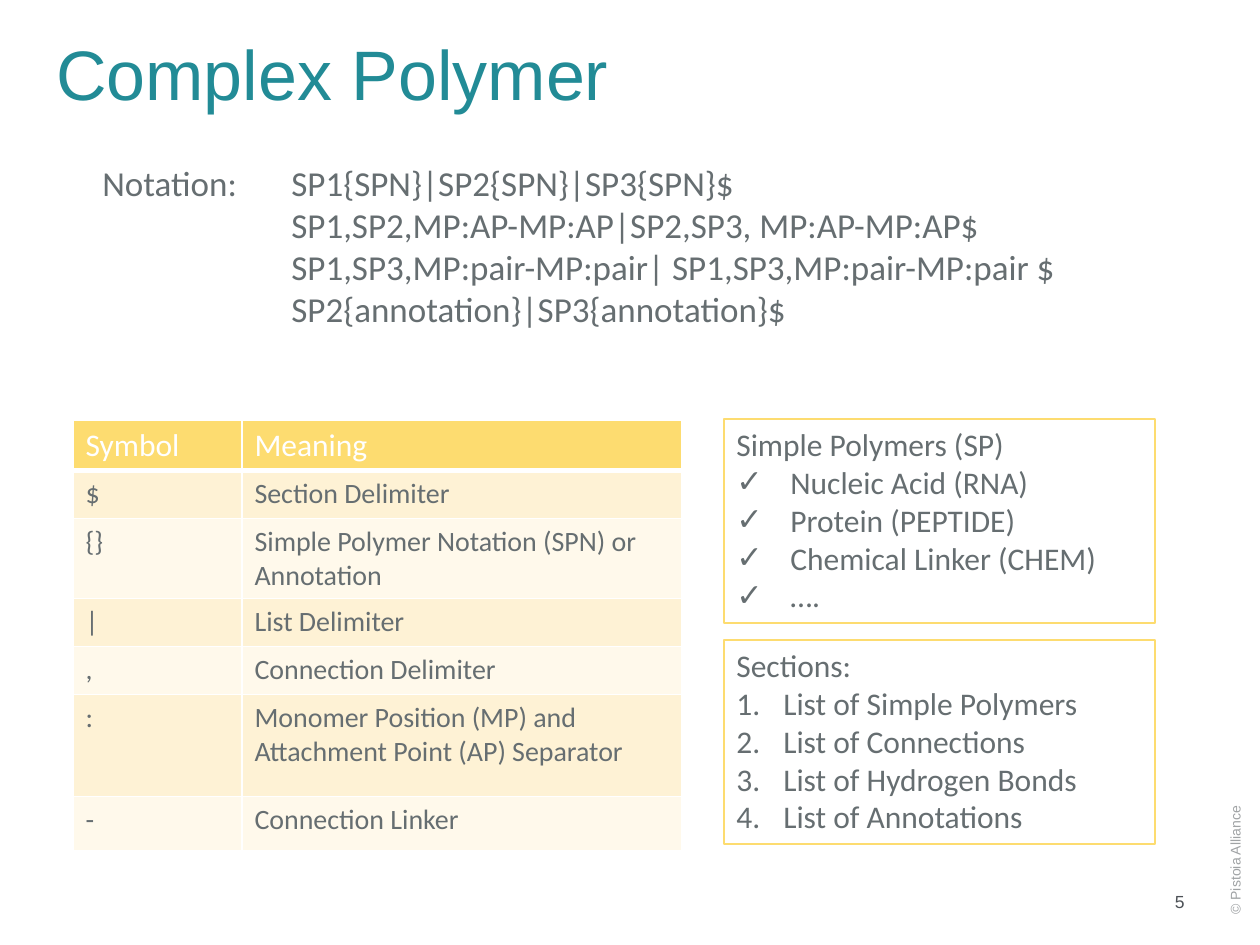
from lxml.etree import SubElement as Sub
from pptx import Presentation
from pptx.dml.color import RGBColor as Rgb
from pptx.enum.shapes import MSO_SHAPE as Form
from pptx.enum.text import MSO_ANCHOR as Anchor, PP_ALIGN as Align
from pptx.oxml.ns import qn
from pptx.util import Pt


class Theme:
    """Colours, fonts and type sizes of the slide."""
    teal, gray, dark, pale = "228B96", "666E71", "4C5156", "A0A3A5"
    gold, cream, ivory, white = "FDDC70", "FEF2D5", "FFF9EB", "FFFFFF"
    head, body = "Arial", "Calibri"
    title, note, list, cell, page, mark = 40, 20, 18, 16, 10, 8


SYMBOLS = [
    ("Symbol", "Meaning", 49),
    ("$", "Section Delimiter", 48),
    ("{}", "Simple Polymer Notation (SPN) or Annotation", 80),
    ("|", "List Delimiter", 48),
    (",", "Connection Delimiter", 48),
    (":", "Monomer Position (MP) and Attachment Point (AP) Separator", 102),
    ("-", "Connection Linker", 54),
]
NOTATION = [
    "Notation:\tSP1{SPN}|SP2{SPN}|SP3{SPN}$",
    "SP1,SP2,MP:AP-MP:AP|SP2,SP3, MP:AP-MP:AP$",
    "SP1,SP3,MP:pair-MP:pair| SP1,SP3,MP:pair-MP:pair $",
    "SP2{annotation}|SP3{annotation}$",
]
POLYMERS = ["Nucleic Acid (RNA)", "Protein (PEPTIDE)",
            "Chemical Linker (CHEM)", "…."]
SECTIONS = ["List of Simple Polymers", "List of Connections",
            "List of Hydrogen Bonds", "List of Annotations"]


def px(num):
    """Turn pixels into EMU."""
    return round(num * 914400 / 126)


def style(para, size, color, font=Theme.body):
    """Set the type of a paragraph."""
    for key, val in {"size": Pt(size), "name": font}.items():
        setattr(para.font, key, val)
    para.font.color.rgb = Rgb.from_string(color)


def indent(para, left, first=0):
    """Set the left margin and first line offset of a paragraph."""
    props = para._p.get_or_add_pPr()
    for key, val in {"marL": left, "indent": first}.items():
        props.set(key, str(px(val)))
    return props


def fill_text(frame, lines):
    """Write the lines and return their paragraphs."""
    frame.word_wrap = True
    frame.text = "\n".join(lines)
    return frame.paragraphs


def label(slide, box, text, size, color, turn=0, **form):
    """Place a one-line Arial label."""
    shape = slide.shapes.add_textbox(*map(px, box))
    shape.rotation = turn
    para = fill_text(shape.text_frame, [text])[0]
    para.alignment = form.pop("align", Align.LEFT)
    for key, val in form.items():
        setattr(shape.text_frame, key, val)
    style(para, size, color, Theme.head)


def notation(slide, box, stop):
    """Place the notation lines, aligned at one tab stop."""
    frame = slide.shapes.add_textbox(*map(px, box)).text_frame
    for row, para in enumerate(fill_text(frame, NOTATION)):
        props = indent(para, stop if row else 0)
        if not row:
            tabs = Sub(props, qn("a:tabLst"))
            Sub(tabs, qn("a:tab"), pos=str(px(stop)), algn="l")
        style(para, Theme.note, Theme.gray)


def edges(cell, low):
    """Draw white cell borders, with the given width at the bottom."""
    props = cell._tc.get_or_add_tcPr()
    for side, wide in zip("LRTB", (1, 1, 1, low)):
        line = Sub(props, qn(f"a:ln{side}"), w=str(Pt(wide)))
        paint = Sub(line, qn("a:solidFill"))
        Sub(paint, qn("a:srgbClr"), val=Theme.white)


def symbols(slide, box, first):
    """Place the table of symbols and meanings."""
    grid = slide.shapes.add_table(len(SYMBOLS), 2, *map(px, box)).table
    for col, wide in zip(grid.columns, (first, box[2] - first)):
        col.width = px(wide)
    for row, (*texts, high) in enumerate(SYMBOLS):
        grid.rows[row].height = px(high)
        back = (Theme.cream if row % 2 else Theme.ivory) if row else Theme.gold
        kind = ((Theme.cell, Theme.gray) if row
                else (Theme.list, Theme.white))
        for col, text in enumerate(texts):
            cell = grid.cell(row, col)
            para = fill_text(cell.text_frame, [text])[0]
            style(para, *kind)
            para.font.bold = False
            edges(cell, 1 if row else 3)
            cell.fill.solid()
            cell.fill.fore_color.rgb = Rgb.from_string(back)


def panel(slide, box, head, items, hang, tag, **mark):
    """Place a framed heading with a marked list."""
    shape = slide.shapes.add_shape(Form.RECTANGLE, *map(px, box))
    shape.shadow.inherit = False
    shape.fill.background()
    shape.line.color.rgb = Rgb.from_string(Theme.gold)
    shape.line.width = Pt(0.75)
    frame = shape.text_frame
    frame.vertical_anchor = Anchor.TOP
    for row, para in enumerate(fill_text(frame, [head, *items])):
        para.alignment = Align.LEFT
        if row:
            props = indent(para, hang, -hang)
            Sub(props, qn("a:buFont"), typeface=Theme.head)
            Sub(props, qn(tag), **mark)
        style(para, Theme.list, Theme.gray)


def main():
    """Build the slide and save it."""
    deck = Presentation()
    deck.slide_width, deck.slide_height = px(1260), px(945)
    slide = deck.slides.add_slide(deck.slide_layouts[6])
    label(slide, (1155, 822, 160, 50), "© Pistoia Alliance", Theme.mark,
          Theme.pale, 270, vertical_anchor=Anchor.MIDDLE)
    label(slide, (44, 16, 1134, 97), "Complex Polymer", Theme.title,
          Theme.teal, margin_top=px(15))
    label(slide, (1126, 878, 71, 48), "5", Theme.page, Theme.dark,
          align=Align.RIGHT, vertical_anchor=Anchor.MIDDLE)
    notation(slide, (90, 155, 1081, 183), 189)
    symbols(slide, (73, 420, 609, 429), 169)
    left, top, wide, high, gap = 724, 419, 431, 204, 17
    panel(slide, (left, top, wide, high), "Simple Polymers (SP)",
          POLYMERS, 54, "a:buChar", char="✓")
    panel(slide, (left, top + high + gap, wide, high), "Sections:",
          SECTIONS, 47, "a:buAutoNum", type="arabicPeriod")
    deck.save("out.pptx")


if __name__ == "__main__":
    main()
